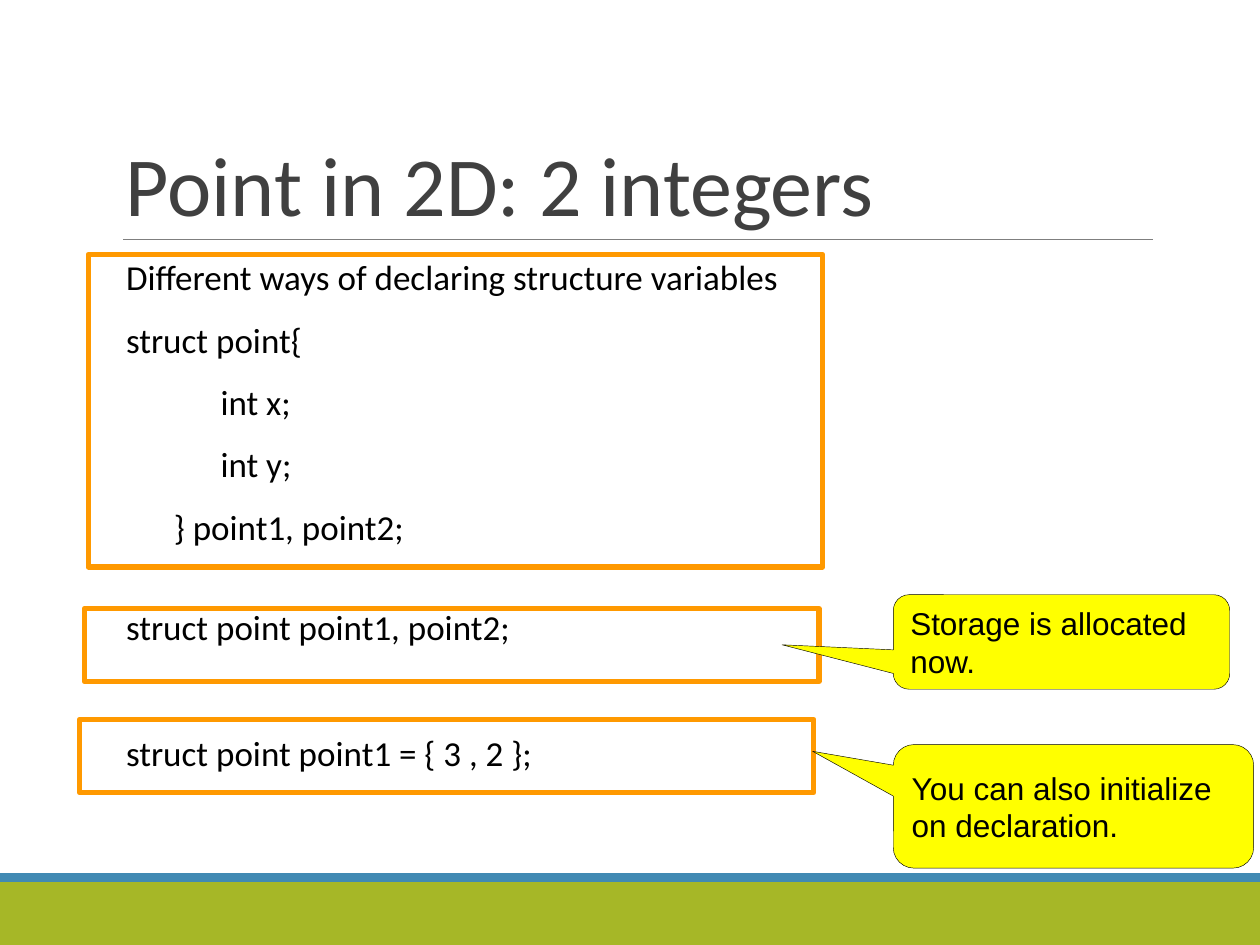
import pptx
import pptx.util
import pptx.dml.color
import pptx.enum.shapes
import pptx.enum.text
import pptx.oxml.ns
import lxml.etree

Inches, Pt = pptx.util.Inches, pptx.util.Pt
Shape = pptx.enum.shapes.MSO_SHAPE
Anchor = pptx.enum.text.MSO_ANCHOR

# Code lines: text, indent in inches, space before in points
CODE = [
    ("Different ways of declaring structure variables", 0, 0),
    ("struct point{", 0, 12),
    ("int x;", 0.75, 12),
    ("int y;", 0.75, 12),
    ("} point1, point2;", 0.38, 12),
    ("struct point point1, point2;", 0, 34),
    ("struct point point1 = { 3 , 2 };", 0, 48),
]
FRAMES = [(0.7, 2.02, 5.83, 2.48), (0.67, 4.83, 5.83, 0.58), (0.63, 5.71, 5.83, 0.58)]
# Callouts: text, box, tail tip
NOTES = [
    ("Storage is allocated now.", (7.09, 4.72, 2.67, 0.75), (-0.831, 0.03)),
    ("You can also initialize on declaration.", (7.09, 5.91, 2.86, 0.98), (-0.724, -0.446)),
]


def color(code):
    return pptx.dml.color.RGBColor.from_string(code)


def add_shape(slide, kind, box, fill=None, line=None, width=0):
    shape = slide.shapes.add_shape(kind, *map(Inches, box))
    shape.shadow.inherit = False
    if fill:
        shape.fill.solid()
        shape.fill.fore_color.rgb = color(fill)
    else:
        shape.fill.background()
    if line:
        shape.line.color.rgb = color(line)
        shape.line.width = Pt(width)
    else:
        shape.line.fill.background()
    return shape


def set_text(par, text, face, size, ink):
    par.text = text
    par.alignment = pptx.enum.text.PP_ALIGN.LEFT
    par.font.name = face
    par.font.size = Pt(size)
    par.font.color.rgb = color(ink)


def add_base(slide, box):
    """Footer band with a thin stripe along its top."""
    left, top, width, height = box
    stripe = 0.07
    add_shape(slide, Shape.RECTANGLE, (left, top + stripe, width, height - stripe), "A6B727")
    add_shape(slide, Shape.RECTANGLE, (left, top, width, stripe), "418AB3")


def add_title(slide, box):
    """Title text with a rule under it."""
    left, top, width, height = box
    end = top + height
    rule = slide.shapes.add_connector(
        pptx.enum.shapes.MSO_CONNECTOR.STRAIGHT,
        Inches(left + 0.08), Inches(end), Inches(left + width), Inches(end))
    rule.line.color.rgb = color("7F7F7F")
    rule.line.width = Pt(0.5)
    props = rule._element.spPr
    lxml.etree.SubElement(props, pptx.oxml.ns.qn("a:effectLst"))

    frame = slide.shapes.add_textbox(*map(Inches, box)).text_frame
    frame.word_wrap = True
    frame.vertical_anchor = Anchor.BOTTOM
    par = frame.paragraphs[0]
    set_text(par, "Point in 2D: 2 integers", "Calibri", 48, "404040")
    par.line_spacing = 0.85


def add_code(slide, box):
    """Code lines in one text box."""
    frame = slide.shapes.add_textbox(*map(Inches, box)).text_frame
    frame.word_wrap = True
    frame.margin_left = frame.margin_right = 0
    for row, (text, indent, gap) in enumerate(CODE):
        par = frame.add_paragraph() if row else frame.paragraphs[0]
        set_text(par, text, "Calibri", 20, "000000")
        par.line_spacing = 0.9
        par.space_before = Pt(gap)
        par.space_after = Pt(2)
        par._p.get_or_add_pPr().set("marL", str(Inches(0.1 + indent)))


def add_note(slide, box, text, tip):
    """Yellow callout with its tail pointing at the code."""
    note = add_shape(slide, Shape.ROUNDED_RECTANGULAR_CALLOUT, box, "FFFF00", "000000", 0.25)
    note.adjustments[0], note.adjustments[1] = tip
    frame = note.text_frame
    frame.word_wrap = True
    frame.vertical_anchor = Anchor.MIDDLE
    set_text(frame.paragraphs[0], text, "Arial", 18, "000000")


def main():
    deck = pptx.Presentation()
    deck.slide_width, deck.slide_height = Inches(10), Inches(7.5)
    slide = deck.slides.add_slide(deck.slide_layouts[6])

    add_base(slide, (0, 6.93, 10, 0.57))
    add_title(slide, (0.9, 0.31, 8.25, 1.59))
    add_code(slide, (0.9, 2.02, 8.25, 4.4))
    for box in FRAMES:
        add_shape(slide, Shape.RECTANGLE, box, line="FF9900", width=3)
    for text, box, tip in NOTES:
        add_note(slide, box, text, tip)
    deck.save("out.pptx")


if __name__ == "__main__":
    main()
